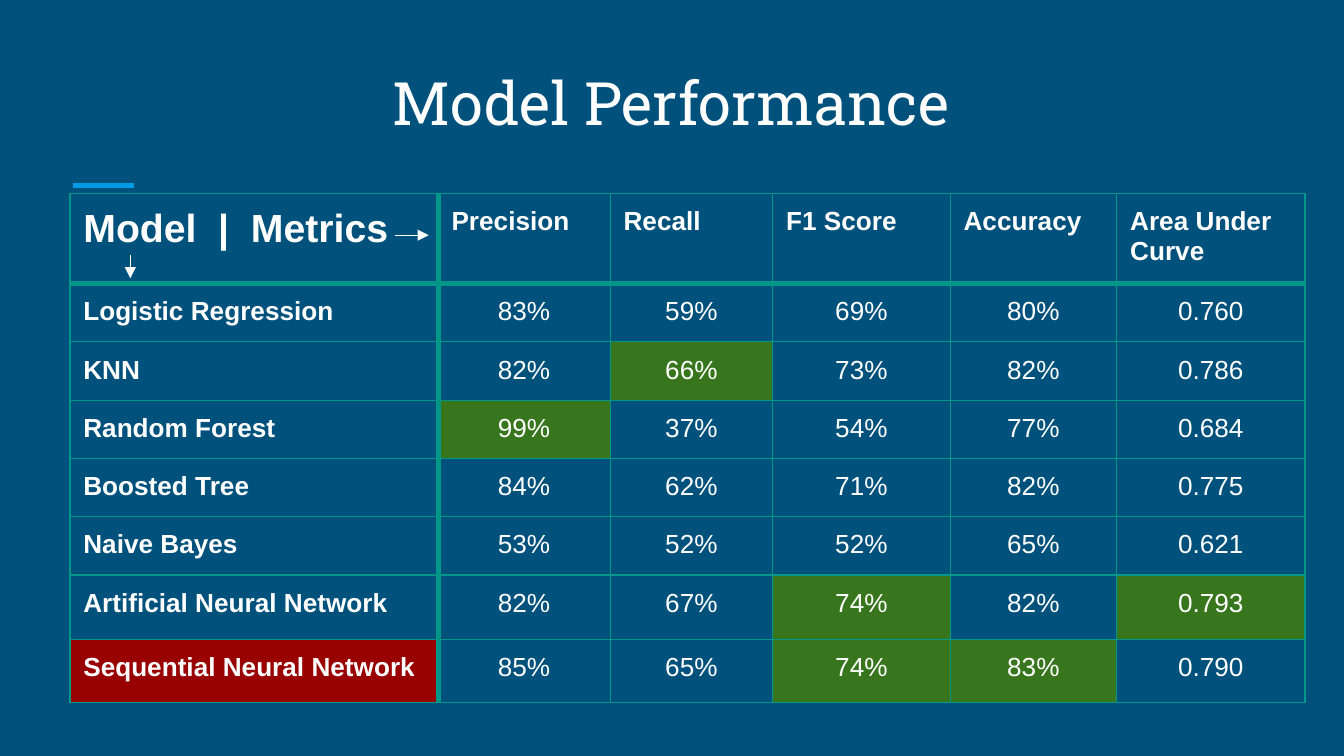
"""Build the model performance slide."""
from lxml.etree import SubElement
from pptx import Presentation
from pptx.dml.color import RGBColor
from pptx.enum.shapes import MSO_CONNECTOR
from pptx.enum.text import MSO_ANCHOR, PP_ALIGN
from pptx.oxml.ns import qn
from pptx.util import Inches, Pt

NAVY = RGBColor(0x00, 0x51, 0x7C)
WHITE = RGBColor(0xFF, 0xFF, 0xFF)
BLUE = RGBColor(0x03, 0x9B, 0xE5)
TEAL = RGBColor(0x00, 0x96, 0x88)
GREEN = RGBColor(0x38, 0x76, 0x1D)
RED = RGBColor(0x99, 0x00, 0x00)

TITLE = "Model Performance"
ROWS = [
    ("Model  |  Metrics", "Precision", "Recall", "F1 Score", "Accuracy", "Area Under Curve"),
    ("Logistic Regression", "83%", "59%", "69%", "80%", "0.760"),
    ("KNN", "82%", "66%", "73%", "82%", "0.786"),
    ("Random Forest", "99%", "37%", "54%", "77%", "0.684"),
    ("Boosted Tree", "84%", "62%", "71%", "82%", "0.775"),
    ("Naive Bayes", "53%", "52%", "52%", "65%", "0.621"),
    ("Artificial Neural Network", "82%", "67%", "74%", "82%", "0.793"),
    ("Sequential Neural Network", "85%", "65%", "74%", "83%", "0.790"),
]
WIDE = 10
TALL = WIDE * 9 / 16
WIDTHS = [2.74, 1.28, 1.21, 1.32, 1.24, 1.4]
HEIGHTS = [0.67] + [0.43] * 5 + [0.48, 0.47]
FILLS = {(7, 0): RED}
FILLS.update(dict.fromkeys([(2, 2), (3, 1), (6, 3), (6, 5), (7, 3), (7, 4)], GREEN))
RULE = (0.54, 1.38, 1, 1.38)
ARROWS = [(2.94, 1.75, 3.19, 1.75), (0.97, 1.9, 0.97, 2.07)]
INSETS = dict.fromkeys(("margin_left", "margin_right", "margin_top", "margin_bottom"), Inches(0.1))
THIN, THICK = 0.75, 3


def apply(item, values):
    for name, value in values.items():
        setattr(item, name, value)


def write(frame, text, align, size, bold=False, face="Arial"):
    para = frame.paragraphs[0]
    para.alignment = align
    run = para.add_run()
    run.text = text
    apply(run.font, {"name": face, "size": Pt(size), "bold": bold})
    run.font.color.rgb = WHITE


def draw_line(slide, ends, color, width, arrow=False):
    line = slide.shapes.add_connector(MSO_CONNECTOR.STRAIGHT, *map(Inches, ends))
    line.line.color.rgb = color
    line.line.width = Pt(width)
    props = line._element.spPr
    if arrow:
        SubElement(props.find(qn("a:ln")), qn("a:tailEnd"), type="triangle")
    SubElement(props, qn("a:effectLst"))


def edge(cell, row, col):
    props = cell._tc.get_or_add_tcPr()
    sides = {
        "L": THICK if col == 1 else THIN,
        "R": THICK if col == 0 else THIN,
        "T": THICK if row == 1 else THIN,
        "B": THICK if row == 0 else THIN,
    }
    for side, width in sides.items():
        line = SubElement(props, qn(f"a:ln{side}"), w=str(Pt(width)))
        fill = SubElement(line, qn("a:solidFill"))
        SubElement(fill, qn("a:srgbClr"), val=str(TEAL))


def fill_cell(cell, row, col):
    head = row == 0 or col == 0
    apply(cell, INSETS)
    align = PP_ALIGN.LEFT if head else PP_ALIGN.CENTER
    write(cell.text_frame, ROWS[row][col], align, 21 if row == col == 0 else 14, head)
    edge(cell, row, col)
    if (row, col) in FILLS:
        cell.fill.solid()
        cell.fill.fore_color.rgb = FILLS[row, col]
    else:
        cell.fill.background()


def add_grid(slide):
    area = map(Inches, (0.52, 1.44, sum(WIDTHS), sum(HEIGHTS)))
    table = slide.shapes.add_table(len(ROWS), len(WIDTHS), *area).table
    apply(table, {"first_row": False, "horz_banding": False})
    for col, width in zip(table.columns, WIDTHS):
        col.width = Inches(width)
    for row, height in enumerate(HEIGHTS):
        table.rows[row].height = Inches(height)
        for col in range(len(WIDTHS)):
            fill_cell(table.cell(row, col), row, col)


def main():
    deck = Presentation()
    apply(deck, {"slide_width": Inches(WIDE), "slide_height": Inches(TALL)})
    slide = deck.slides.add_slide(deck.slide_layouts[6])
    slide.background.fill.solid()
    slide.background.fill.fore_color.rgb = NAVY
    draw_line(slide, RULE, BLUE, THICK)
    frame = slide.shapes.add_textbox(*map(Inches, (0.42, 0.37, 9.15, 0.75))).text_frame
    apply(frame, {**INSETS, "word_wrap": True, "vertical_anchor": MSO_ANCHOR.BOTTOM})
    write(frame, TITLE, PP_ALIGN.CENTER, 32, face="Roboto Slab")
    add_grid(slide)
    for ends in ARROWS:
        draw_line(slide, ends, WHITE, THIN, arrow=True)
    deck.save("out.pptx")


if __name__ == "__main__":
    main()
